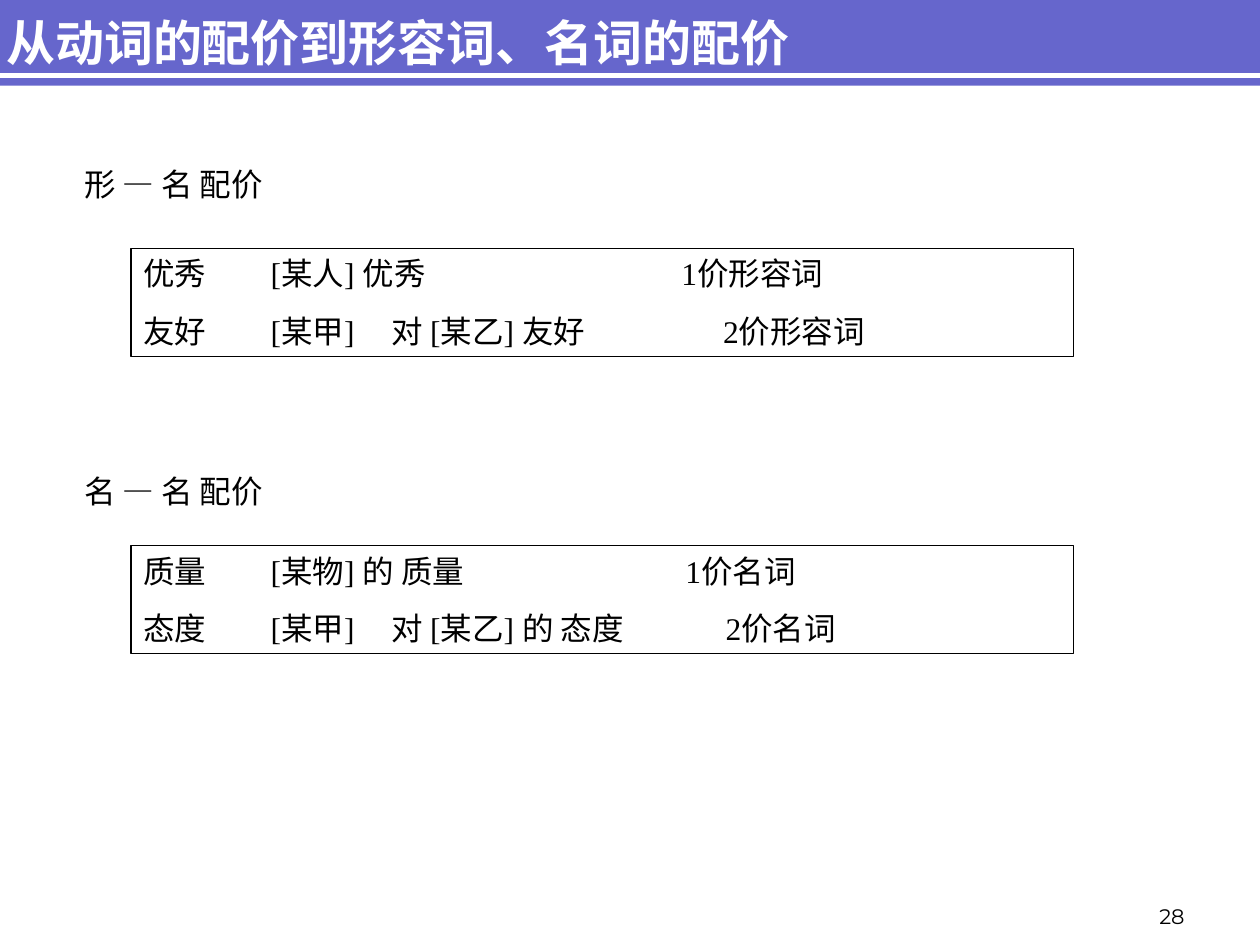
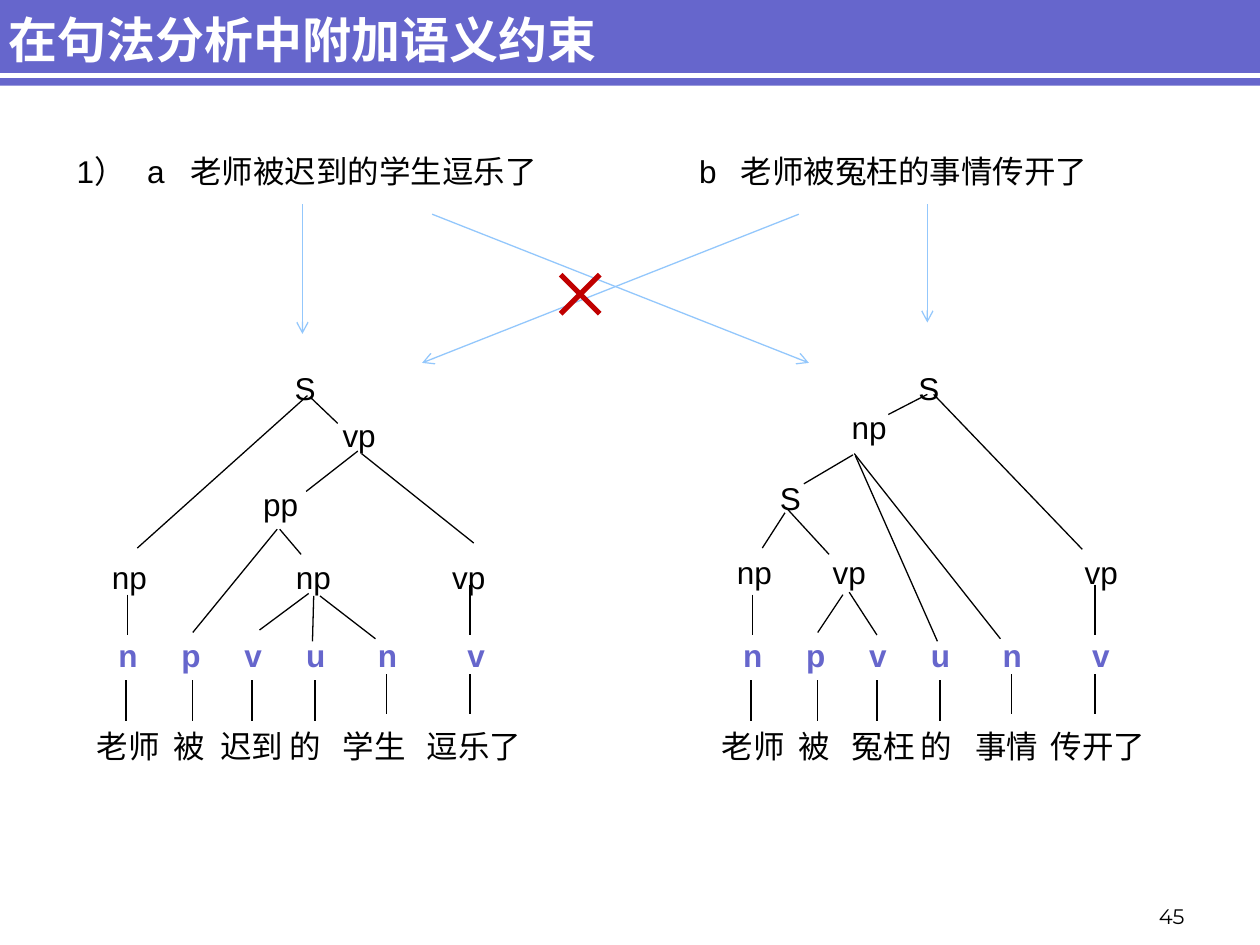
from lxml.etree import SubElement
from pptx import Presentation
from pptx.dml.color import RGBColor
from pptx.enum.shapes import MSO_CONNECTOR, MSO_SHAPE
from pptx.enum.text import MSO_ANCHOR, PP_ALIGN
from pptx.oxml.ns import qn
from pptx.util import Inches, Pt

COLORS = {"band": "6666CC", "white": "FFFFFF", "black": "000000",
          "arrow": "93C7FC", "cross": "C00000"}
CJK_FONT = "Noto Sans CJK SC"

# Slide 1: heading, top of heading, top of box, rows of (text, tab stops)
VALENCE_TITLE = "从动词的配价到形容词、名词的配价"
VALENCE_GROUPS = [
    ("形", 1.26, 1.97, [
        ("优秀\t[某人] 优秀\t1价形容词", (1.01, 4.27)),
        ("友好\t[某甲]\t对 [某乙] 友好\t2价形容词", (1.01, 1.97, 4.6))]),
    ("名", 3.7, 4.33, [
        ("质量\t[某物] 的 质量\t1价名词", (1.01, 4.3)),
        ("态度\t[某甲]\t对 [某乙] 的 态度\t2价名词", (1.01, 1.97, 4.62))]),
]

# Slide 2: two parse trees; shared parts are given for the left tree
PARSE_TITLE = "在句法分析中附加语义约束"
SENTENCES = "1）\ta\t老师被迟到的学生逗乐了\tb\t老师被冤枉的事情传开了"
SENTENCE_TABS = (0.56, 0.9, 4.94, 5.27)
TREE_SHIFT = 4.96
TAGS = "n\tp\tv\tu\tn\tv"
TAG_TABS = (0.5, 1, 1.49, 2.06, 2.77)
STEMS = [(1, 5.4), (1.53, 5.4), (2, 5.4), (2.5, 5.4), (3.07, 5.35), (3.73, 5.35)]
STEM_LENGTH = 0.32
SHARED_BRANCHES = [(1.01, 4.72, 1.01, 5.04), (3.73, 4.64, 3.73, 5.04)]
TREES = [
    {"words": ("老师\t被\t迟到\t的\t学生\t逗乐了", (0.61, 0.98, 1.53, 1.95, 2.62)),
     "phrases": ("np\tnp\tvp", (1.46, 2.7), 0.79, 4.23),
     "nodes": [("S", 2.24, 2.73), ("vp", 2.62, 3.1), ("pp", 1.99, 3.65)],
     "branches": [(2.44, 3.14, 1.09, 4.35), (2.46, 3.15, 2.68, 3.36),
                  (2.84, 3.58, 2.43, 3.9), (2.87, 3.6, 3.76, 4.31),
                  (2.2, 4.2, 1.53, 5.02), (2.22, 4.2, 2.39, 4.4),
                  (2.45, 4.71, 2.06, 5), (2.49, 4.73, 2.48, 5.09),
                  (2.54, 4.73, 2.98, 5.07)],
     "arrow_end": 2.65},
    {"words": ("老师\t被\t冤枉\t的\t事情\t传开了", (0.61, 1.03, 1.58, 2.01, 2.61)),
     "phrases": ("np\tvp\tvp", (0.76, 2.76), 5.75, 4.19),
     "nodes": [("S", 7.19, 2.73), ("np", 6.66, 3.04), ("S", 6.09, 3.6)],
     "branches": [(7.36, 3.13, 7.05, 3.29), (7.41, 3.13, 8.59, 4.36),
                  (6.77, 3.61, 6.38, 3.84), (6.79, 3.62, 7.44, 5.09),
                  (6.78, 3.6, 7.94, 5.07), (6.23, 4.07, 6.05, 4.35),
                  (6.24, 4.03, 6.58, 4.4), (6.69, 4.72, 6.49, 5.02),
                  (6.74, 4.7, 6.96, 5.04)],
     "arrow_end": 2.56},
]
CROSSED_ARROWS = [(3.43, 1.7, 6.42, 2.88), (6.34, 1.7, 3.35, 2.88)]
CROSS = [(4.45, 2.18, 4.76, 2.49), (4.76, 2.18, 4.45, 2.49)]


def color(name):
    return RGBColor.from_string(COLORS[name])


def write(paragraph, text, size=18, font="Arial", fill="black", bold=False,
          tabs=(), align=PP_ALIGN.LEFT, line_spacing=None, space_before=0):
    """Add text to a paragraph; text is a string or a list of (text, font)."""
    paragraph.alignment = align
    paragraph.space_before = Pt(space_before)
    if line_spacing:
        paragraph.line_spacing = line_spacing
    if tabs:
        tab_list = SubElement(paragraph._p.get_or_add_pPr(), qn("a:tabLst"))
        for stop in tabs:
            SubElement(tab_list, qn("a:tab"), pos=str(int(Inches(stop))), algn="l")
    for words, typeface in [(text, font)] if isinstance(text, str) else text:
        run = paragraph.add_run()
        run.text = words
        run.font.size = Pt(size)
        run.font.name = typeface
        run.font.bold = bold
        run.font.color.rgb = color(fill)
        SubElement(run._r.get_or_add_rPr(), qn("a:ea"), typeface=CJK_FONT)


def add_text(slide, text, left, top, width, height, anchor=MSO_ANCHOR.TOP, **style):
    box = slide.shapes.add_textbox(Inches(left), Inches(top), Inches(width), Inches(height))
    box.text_frame.word_wrap = True
    box.text_frame.vertical_anchor = anchor
    write(box.text_frame.paragraphs[0], text, **style)


def add_rectangle(slide, left, top, width, height, fill=None, line=None):
    shape = slide.shapes.add_shape(MSO_SHAPE.RECTANGLE, Inches(left), Inches(top),
                                   Inches(width), Inches(height))
    shape.shadow.inherit = False
    if fill:
        shape.fill.solid()
        shape.fill.fore_color.rgb = color(fill)
    else:
        shape.fill.background()
    if line:
        shape.line.color.rgb = color(line)
        shape.line.width = Pt(0.75)
    else:
        shape.line.fill.background()
    return shape


def add_line(slide, ends, stroke="black", width=0.75, arrow=False):
    connector = slide.shapes.add_connector(MSO_CONNECTOR.STRAIGHT, *map(Inches, ends))
    connector.line.color.rgb = color(stroke)
    connector.line.width = Pt(width)
    properties = connector.element.spPr
    if arrow:
        SubElement(properties.find(qn("a:ln")), qn("a:tailEnd"), type="arrow")
    SubElement(properties, qn("a:effectLst"))


def add_slide(presentation, title_text, number, title_place):
    """Title-only slide with the band, its white rule and the page number."""
    slide = presentation.slides.add_slide(presentation.slide_layouts[5])
    add_rectangle(slide, -0.04, -0.03, 10.04, 0.71, fill="band")
    add_line(slide, (-0.04, 0.6, 10, 0.6), stroke="white", width=3)
    add_text(slide, number, 7.42, 6.92, 2.08, 0.5, anchor=MSO_ANCHOR.BOTTOM,
             size=12, font="Montserrat", align=PP_ALIGN.RIGHT)
    title = slide.shapes.title
    title.left, title.top, title.width, title.height = map(Inches, title_place)
    title.text_frame.vertical_anchor = MSO_ANCHOR.MIDDLE
    write(title.text_frame.paragraphs[0], title_text, size=28, font=CJK_FONT,
          fill="white", bold=True)
    # Bring the title in front of the band
    title.element.getparent().append(title.element)
    return slide


def build_valence_slide(presentation):
    slide = add_slide(presentation, VALENCE_TITLE, "28", (-0.05, -0.03, 8.65, 0.72))
    for word_class, heading_top, box_top, rows in VALENCE_GROUPS:
        heading = [(word_class + " ", "Arial"), ("— ", "Times New Roman"), ("名 配价", "Arial")]
        add_text(slide, heading, 0.57, heading_top, 2.21, 0.4)
        box = add_rectangle(slide, 1.04, box_top, 7.48, 0.86, line="black")
        frame = box.text_frame
        frame.word_wrap = True
        frame.vertical_anchor = MSO_ANCHOR.TOP
        for index, (text, tabs) in enumerate(rows):
            paragraph = frame.add_paragraph() if index else frame.paragraphs[0]
            write(paragraph, text, font="Times New Roman", tabs=tabs,
                  space_before=11.2 if index else 0)


def add_tree(slide, tree, shift):
    # Rows of words, word tags and phrases
    words, word_tabs = tree["words"]
    add_text(slide, words, 0.67 + shift, 5.57, 3.98, 0.55, tabs=word_tabs, line_spacing=1.5)
    add_text(slide, TAGS, 0.84 + shift, 4.85, 3.79, 0.55, tabs=TAG_TABS,
             line_spacing=1.5, fill="band", bold=True)
    phrases, phrase_tabs, left, top = tree["phrases"]
    add_text(slide, phrases, left, top, 3.86, 0.55, tabs=phrase_tabs, line_spacing=1.5)
    # Upper nodes and branches
    for label, left, top in tree["nodes"]:
        add_text(slide, label, left, top, 0.62, 0.55, line_spacing=1.5)
    for x, y in STEMS:
        add_line(slide, (x + shift, y, x + shift, y + STEM_LENGTH))
    for x1, y1, x2, y2 in SHARED_BRANCHES:
        add_line(slide, (x1 + shift, y1, x2 + shift, y2))
    for branch in tree["branches"]:
        add_line(slide, branch)
    add_line(slide, (2.4 + shift, 1.62, 2.4 + shift, tree["arrow_end"]),
             stroke="arrow", arrow=True)


def build_parse_slide(presentation):
    slide = add_slide(presentation, PARSE_TITLE, "45", (-0.03, -0.05, 9.52, 0.72))
    add_text(slide, SENTENCES, 0.51, 1.1, 8.98, 0.46, tabs=SENTENCE_TABS, line_spacing=1.2)
    for index, tree in enumerate(TREES):
        add_tree(slide, tree, index * TREE_SHIFT)
    # Crossed-out readings
    for ends in CROSSED_ARROWS:
        add_line(slide, ends, stroke="arrow", arrow=True)
    for ends in CROSS:
        add_line(slide, ends, stroke="cross", width=3)


def main():
    presentation = Presentation()
    presentation.slide_width, presentation.slide_height = Inches(10), Inches(7.5)
    build_valence_slide(presentation)
    build_parse_slide(presentation)
    presentation.save("out.pptx")


if __name__ == "__main__":
    main()
